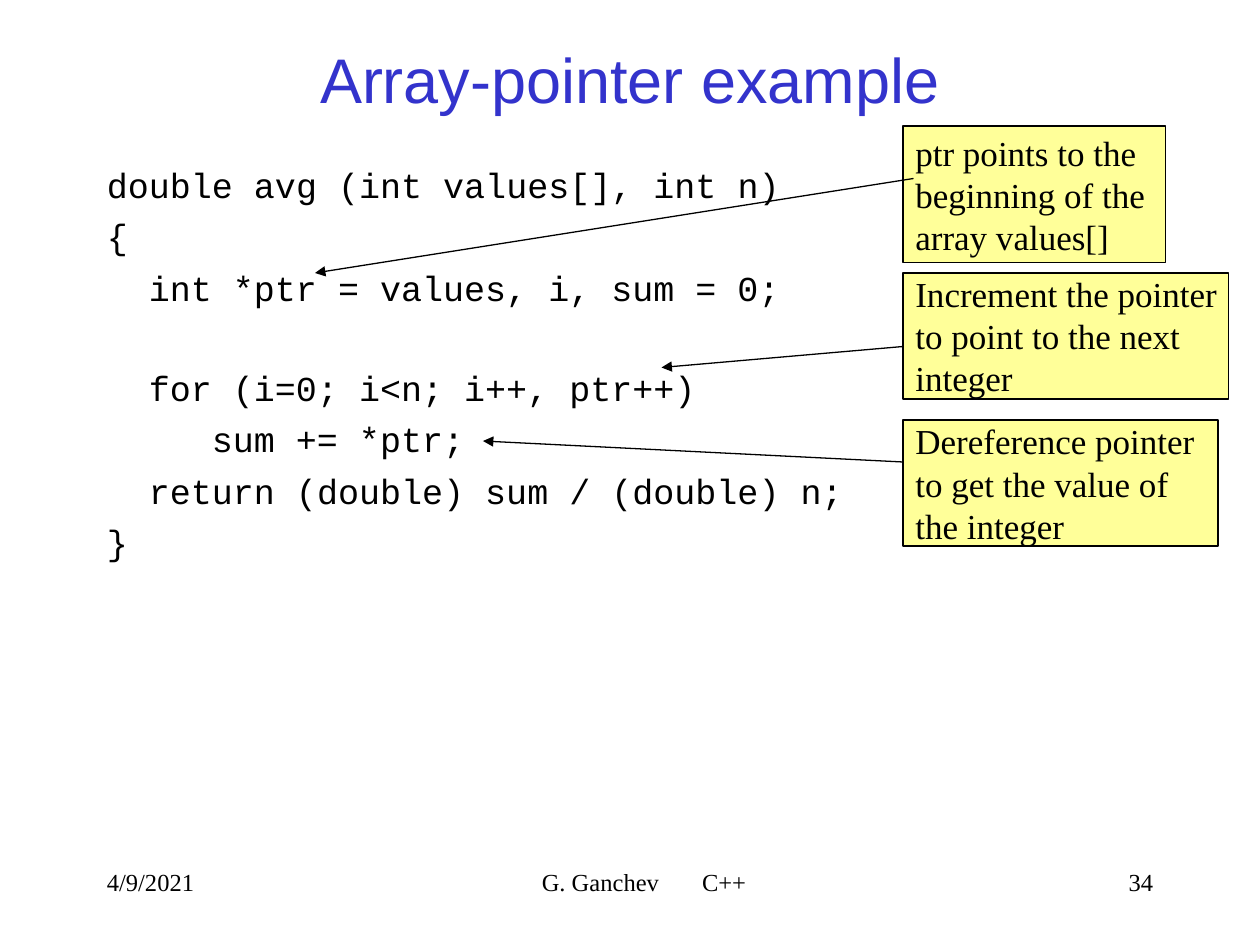
from dataclasses import dataclass

from lxml.etree import SubElement
from pptx import Presentation
from pptx.dml.color import RGBColor
from pptx.enum.shapes import MSO_CONNECTOR as Connector, MSO_SHAPE as Shape
from pptx.enum.text import MSO_ANCHOR as Anchor, PP_ALIGN as Align
from pptx.oxml.ns import qn
from pptx.util import Pt

BLACK, BLUE, YELLOW = "000000", "3333CC", "FFFF99"
SERIF, SANS, MONO = "Times New Roman", "Arial", "Courier New"
CODE_SIZE = 20
CHARACTER_WIDTH = 12
CODE_GAP = 5.3
CODE_PITCH = 27.95
LEFT, WIDTH = 54, 612
NOTE_LEFT = 516


@dataclass
class CodeLine:
    text: str
    indent: int = 0
    blank_before: int = 0


@dataclass
class Note:
    lines: list[str]
    top: float
    width: float
    height: float
    start: tuple[float, float]
    tip: tuple[float, float]


CODE = [
    CodeLine("double avg (int values[], int n)"),
    CodeLine("{"),
    CodeLine("int *ptr = values, i, sum = 0;", indent=2),
    CodeLine("for (i=0; i<n; i++, ptr++)", indent=2, blank_before=1),
    CodeLine("sum += *ptr;", indent=5),
    CodeLine("return (double) sum / (double) n;", indent=2),
    CodeLine("}"),
]

NOTES = [
    Note(["ptr points to the", "beginning of the", "array values[]"],
         72, 150, 78, (522, 102), (180, 156)),
    Note(["Increment the pointer", "to point to the next", "integer"],
         156, 186, 72, (516, 198), (378, 210)),
    Note(["Dereference pointer", "to get the value of", "the integer"],
         240, 180, 72, (516, 264), (276, 252)),
]


def color(value: str) -> RGBColor:
    return RGBColor.from_string(value)


def write(para, text: str, *, size: float = 20, font: str = SERIF,
          fill: str = BLACK, align=Align.LEFT, before: float = 0):
    para.alignment = align
    para.space_before = Pt(before)
    span = para.add_run()
    span.text = text
    span.font.size = Pt(size)
    span.font.name = font
    span.font.color.rgb = color(fill)
    return span


def add_box(page, left: float, top: float, width: float, height: float,
            anchor=Anchor.TOP):
    box = page.shapes.add_textbox(Pt(left), Pt(top), Pt(width), Pt(height))
    box.text_frame.word_wrap = True
    box.text_frame.vertical_anchor = anchor
    return box.text_frame


def paragraphs(frame, count: int) -> list:
    return [frame.paragraphs[0]] + [frame.add_paragraph() for _ in range(count - 1)]


def add_code(page) -> None:
    frame = add_box(page, LEFT, 90, WIDTH, 324)
    for para, line in zip(paragraphs(frame, len(CODE)), CODE):
        write(para, line.text, size=CODE_SIZE, font=MONO,
              before=CODE_GAP + line.blank_before * CODE_PITCH)
        properties = para._p.get_or_add_pPr()
        properties.set("marL", str(Pt(line.indent * CHARACTER_WIDTH)))
        properties.set("indent", "0")


def add_arrow(page, start: tuple[float, float], tip: tuple[float, float]) -> None:
    arrow = page.shapes.add_connector(
        Connector.STRAIGHT, *(Pt(value) for value in start + tip))
    arrow.line.color.rgb = color(BLACK)
    arrow.line.width = Pt(0.75)
    SubElement(arrow.line._get_or_add_ln(), qn("a:tailEnd"), type="triangle")
    SubElement(arrow._element.spPr, qn("a:effectLst"))


def add_note(page, note: Note) -> None:
    box = page.shapes.add_shape(Shape.RECTANGLE, Pt(NOTE_LEFT), Pt(note.top),
                                Pt(note.width), Pt(note.height))
    box.shadow.inherit = False
    box.fill.solid()
    box.fill.fore_color.rgb = color(YELLOW)
    box.line.color.rgb = color(BLACK)
    box.line.width = Pt(0.75)
    frame = box.text_frame
    frame.word_wrap = False
    frame.vertical_anchor = Anchor.MIDDLE
    for para, text in zip(paragraphs(frame, len(note.lines)), note.lines):
        write(para, text)
    add_arrow(page, note.start, note.tip)


def add_footer(page) -> None:
    top, height, size = 492, 36, 14
    date = add_box(page, LEFT, top, 150, height)
    write(date.paragraphs[0], "4/9/2021", size=size)
    author = add_box(page, 184, top, 368, height).paragraphs[0]
    write(author, "G. Ganchev", size=size, align=Align.CENTER)
    gap = write(author, " ", size=size, align=Align.CENTER)
    gap.font._element.set("spc", "2100")
    write(author, "C++", size=size, align=Align.CENTER)
    number = add_box(page, 516, top, 150, height)
    write(number.paragraphs[0], "34", size=size, align=Align.RIGHT)


def main() -> None:
    deck = Presentation()
    deck.slide_width, deck.slide_height = Pt(720), Pt(540)
    page = deck.slides.add_slide(deck.slide_layouts[6])
    add_footer(page)
    title = add_box(page, LEFT, 0, WIDTH, 90, Anchor.MIDDLE)
    write(title.paragraphs[0], "Array-pointer example", size=36, font=SANS,
          fill=BLUE, align=Align.CENTER)
    add_code(page)
    for note in NOTES:
        add_note(page, note)
    deck.save("out.pptx")


main()
